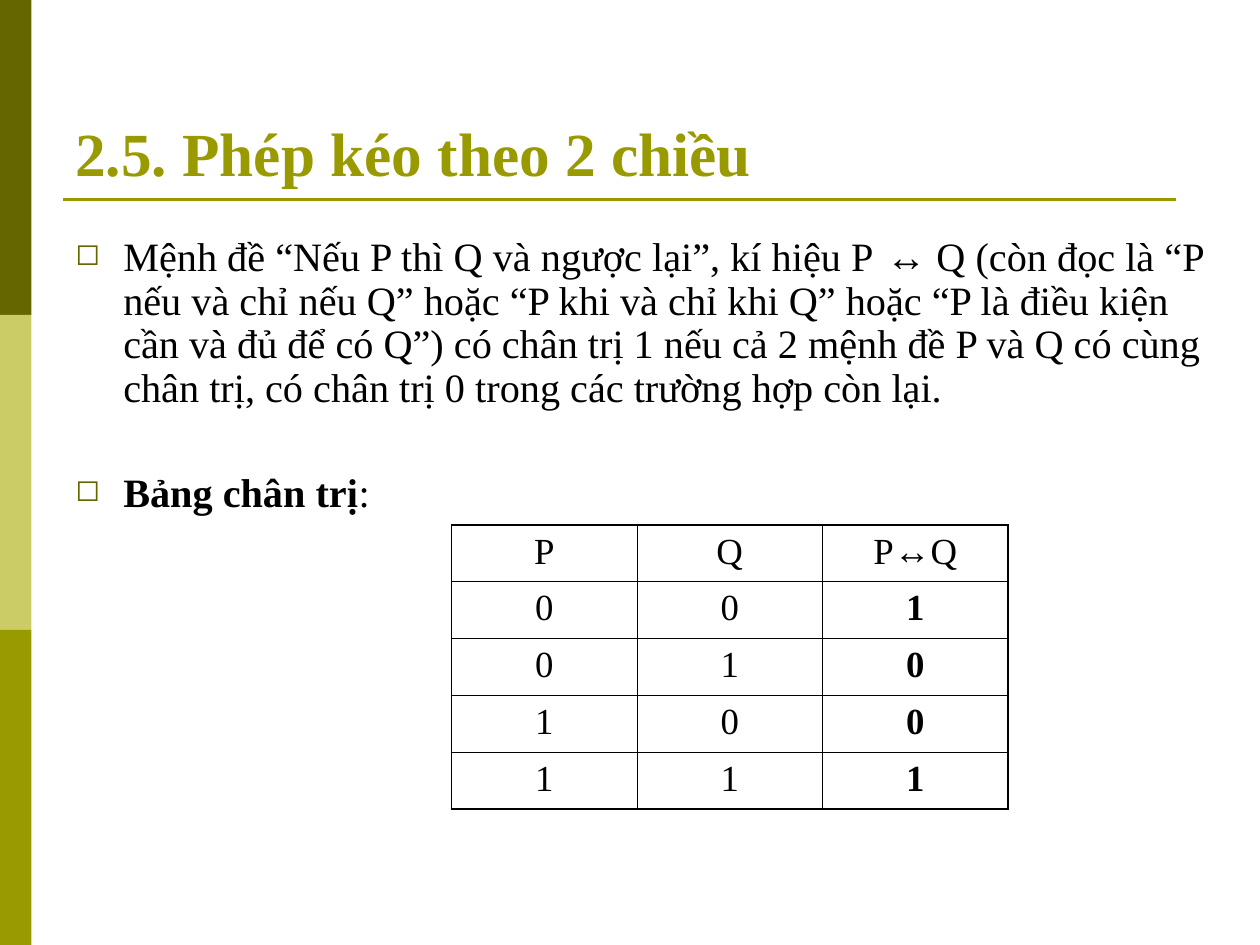
from dataclasses import dataclass

from lxml.etree import SubElement
from pptx import Presentation
from pptx.dml.color import RGBColor
from pptx.enum.shapes import MSO_CONNECTOR, MSO_SHAPE
from pptx.enum.text import MSO_ANCHOR, PP_ALIGN
from pptx.oxml import parse_xml
from pptx.oxml.ns import nsdecls, qn
from pptx.util import Inches, Pt

WIDTH, HEIGHT = Inches(10), Inches(7.5)
COLUMNS, ROWS = 120, 90
SERIF, SYMBOL = "Times New Roman", "Arial"
OLIVE, DARK_OLIVE, LIGHT_OLIVE, BLACK = "999900", "666600", "CCCC66", "000000"
THIN, THICK = 0.45, 1.08


@dataclass(frozen=True)
class Area:
    column: float
    row: float
    columns: float
    rows: float

    def box(self) -> tuple:
        """Return left, top, width and height in slide units."""
        return (across(self.column), down(self.row),
                across(self.columns), down(self.rows))


@dataclass(frozen=True)
class Piece:
    text: str
    font: str = SERIF
    bold: bool = False


@dataclass(frozen=True)
class Bullet:
    pieces: tuple
    space_before: float


BAND_COLOURS = (DARK_OLIVE, LIGHT_OLIVE, OLIVE)
TITLE = Piece("2.5. Phép kéo theo 2 chiều", bold=True)
BULLETS = (
    Bullet((
        Piece("Mệnh đề “Nếu P thì Q và ngược lại”, kí hiệu P"),
        Piece(" ↔", SYMBOL),
        Piece(" Q (còn đọc là “P nếu và chỉ nếu Q” hoặc “P khi và chỉ khi Q” "
              "hoặc “P là điều kiện cần và đủ để có Q”) có chân trị 1 nếu cả 2 "
              "mệnh đề P và Q có cùng chân trị, có chân trị 0 trong các trường "
              "hợp còn lại."),
    ), 5.8),
    Bullet((Piece("Bảng chân trị", bold=True), Piece(":")), 35.5),
)
HEADINGS = ((Piece("P"),), (Piece("Q"),),
            (Piece("P"), Piece("↔", SYMBOL), Piece("Q")))
TRUTH_ROWS = [
    ((Piece(str(p)),), (Piece(str(q)),), (Piece(str(int(p == q)), bold=True),))
    for p in (0, 1) for q in (0, 1)
]


def across(columns: float) -> int:
    """Convert grid columns to a horizontal length."""
    return round(WIDTH * columns / COLUMNS)


def down(rows: float) -> int:
    """Convert grid rows to a vertical length."""
    return round(HEIGHT * rows / ROWS)


def colour(value: str) -> RGBColor:
    """Turn a hex string into a colour."""
    return RGBColor.from_string(value)


def write(paragraph, pieces: tuple, size: float, ink: str) -> None:
    """Write styled pieces of text into a paragraph."""
    for piece in pieces:
        run = paragraph.add_run()
        run.text = piece.text
        run.font.name = piece.font
        run.font.size = Pt(size)
        run.font.bold = piece.bold
        run.font.color.rgb = colour(ink)


def add_band(slide, area: Area, fill: str) -> None:
    """Draw one block of the side band."""
    band = slide.shapes.add_shape(MSO_SHAPE.RECTANGLE, *area.box())
    band.shadow.inherit = False
    band.fill.solid()
    band.fill.fore_color.rgb = colour(fill)
    band.line.fill.background()


def add_rule(slide, start: float, end: float, row: float) -> None:
    """Draw the horizontal rule below the title."""
    rule = slide.shapes.add_connector(
        MSO_CONNECTOR.STRAIGHT, across(start), down(row), across(end), down(row))
    rule.line.color.rgb = colour(OLIVE)
    rule.line.width = Pt(1.5)
    SubElement(rule._element.spPr, qn("a:effectLst"))


def add_frame(slide, area: Area, anchor: MSO_ANCHOR):
    """Add a wrapping text box and return its text frame."""
    frame = slide.shapes.add_textbox(*area.box()).text_frame
    frame.word_wrap = True
    frame.vertical_anchor = anchor
    return frame


def add_bullets(slide, area: Area, bullets: tuple) -> None:
    """Write the bulleted body text."""
    frame = add_frame(slide, area, MSO_ANCHOR.TOP)
    for index, bullet in enumerate(bullets):
        paragraph = frame.add_paragraph() if index else frame.paragraphs[0]
        paragraph.line_spacing = 0.9
        paragraph.space_before = Pt(bullet.space_before)
        write(paragraph, bullet.pieces, 23, BLACK)
        properties = paragraph._p.get_or_add_pPr()
        properties.set("marL", str(Inches(0.38)))
        properties.set("indent", str(-Inches(0.38)))
        marker = SubElement(properties, qn("a:buClr"))
        SubElement(marker, qn("a:srgbClr"), val=DARK_OLIVE)
        SubElement(properties, qn("a:buSzPct"), val="75000")
        SubElement(properties, qn("a:buChar"), char="◻")


def set_borders(cell, widths: dict) -> None:
    """Give each side of a cell a black line."""
    properties = cell._tc.get_or_add_tcPr()
    for index, (side, width) in enumerate(widths.items()):
        properties.insert(index, parse_xml(
            f'<a:ln{side} {nsdecls("a")} w="{Pt(width)}"><a:solidFill>'
            f'<a:srgbClr val="{BLACK}"/></a:solidFill></a:ln{side}>'))


def add_truth_table(slide, area: Area, rows: list) -> None:
    """Draw the truth table with a thicker outer border."""
    last_row, last_column = len(rows) - 1, len(rows[0]) - 1
    table = slide.shapes.add_table(len(rows), len(rows[0]), *area.box()).table
    table.first_row = table.horz_banding = False
    for r, row in enumerate(rows):
        for c, pieces in enumerate(row):
            cell = table.cell(r, c)
            cell.fill.background()
            paragraph = cell.text_frame.paragraphs[0]
            paragraph.alignment = PP_ALIGN.CENTER
            paragraph.space_before = Pt(5.2)
            write(paragraph, pieces, 21, BLACK)
            outer = {"L": c == 0, "R": c == last_column,
                     "T": r == 0, "B": r == last_row}
            set_borders(cell, {side: THICK if edge else THIN
                               for side, edge in outer.items()})


def main() -> None:
    """Build the slide and save it."""
    presentation = Presentation()
    presentation.slide_width, presentation.slide_height = WIDTH, HEIGHT
    slide = presentation.slides.add_slide(presentation.slide_layouts[6])
    band_rows = ROWS / len(BAND_COLOURS)
    for index, fill in enumerate(BAND_COLOURS):
        add_band(slide, Area(0, index * band_rows, 3, band_rows), fill)
    add_rule(slide, 6, 112, 19)
    title = add_frame(slide, Area(6, 3.6, 108, 15), MSO_ANCHOR.BOTTOM)
    write(title.paragraphs[0], (TITLE,), 35, OLIVE)
    add_bullets(slide, Area(6, 22, 110, 30), BULLETS)
    add_truth_table(slide, Area(43, 50, 53, 27), [HEADINGS, *TRUTH_ROWS])
    presentation.save("out.pptx")


if __name__ == "__main__":
    main()
